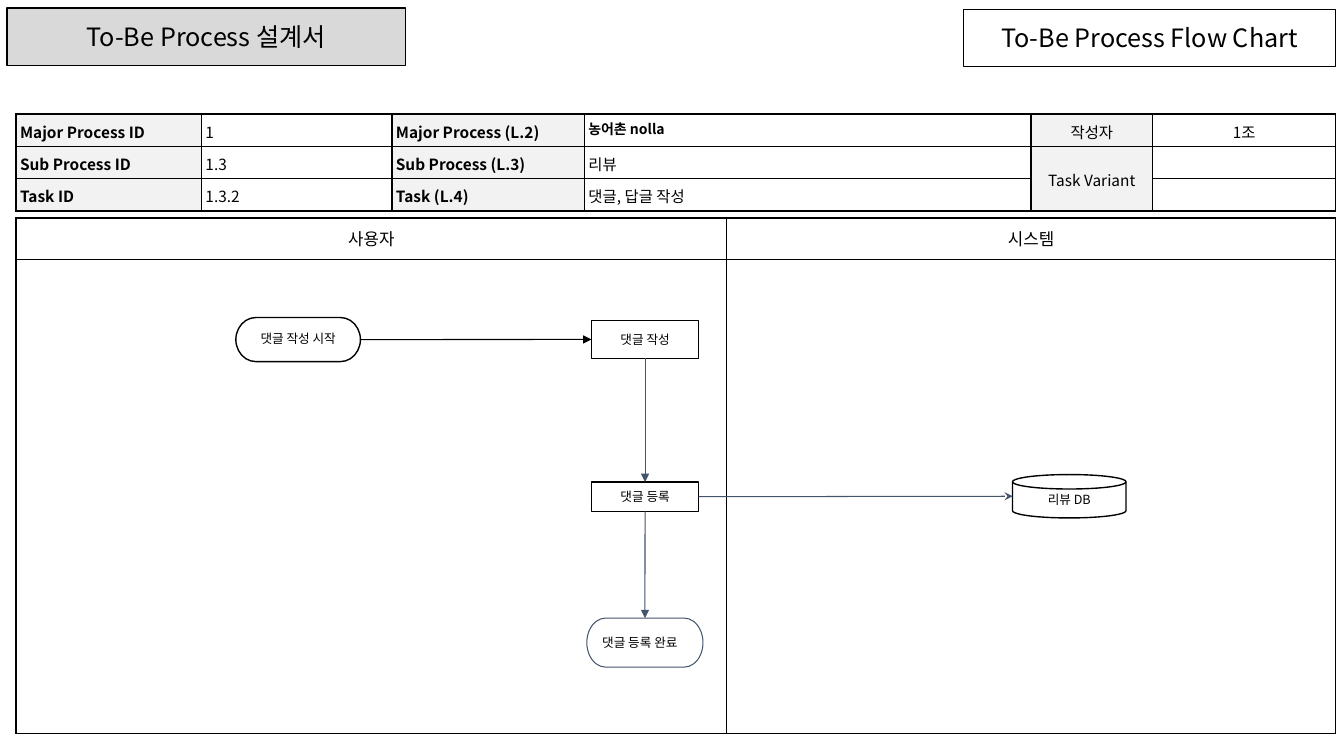
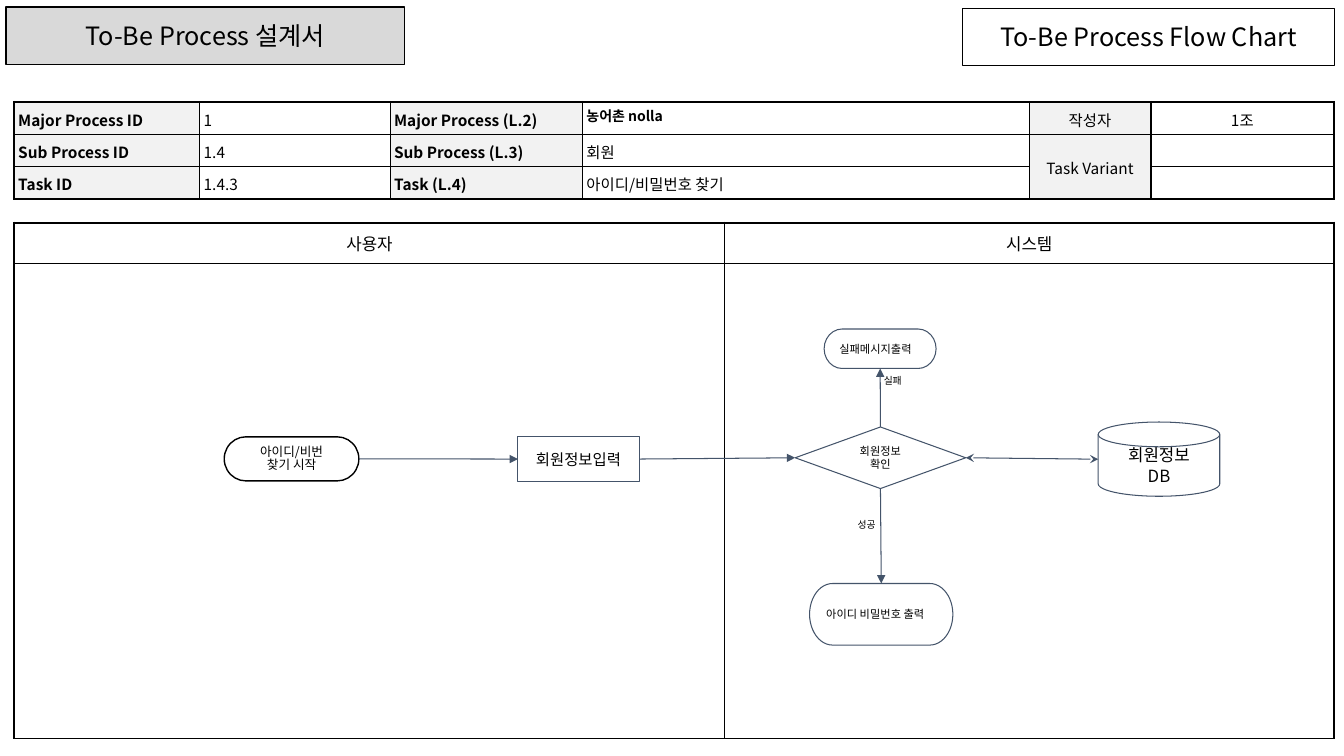
"""Build two To-Be process flow chart slides."""
from lxml.etree import SubElement
from pptx import Presentation
from pptx.dml.color import RGBColor
from pptx.enum.shapes import MSO_CONNECTOR, MSO_SHAPE
from pptx.enum.text import MSO_ANCHOR, MSO_AUTO_SIZE, PP_ALIGN
from pptx.oxml.ns import qn
from pptx.util import Pt


class Theme:
    """Colours, type sizes and line widths."""
    font = "Noto Sans CJK KR"
    ink, blue, white = "000000", "44546A", "FFFFFF"
    band, label = "D9D9D9", "F2F2F2"
    title, lane, info, name, step, note, tag = 18, 12, 11, 10, 9, 8, 7
    edge, rule, thin = 1.5, 1, 0.75
    pens = {"bold": (ink, rule), "fine": (ink, thin), "blue": (blue, thin)}


BOX, PILL = MSO_SHAPE.RECTANGLE, MSO_SHAPE.FLOWCHART_TERMINATOR
DISK, GEM = MSO_SHAPE.FLOWCHART_MAGNETIC_DISK, MSO_SHAPE.FLOWCHART_DECISION
TOP, LEFT, DOWN, RIGHT = range(4)
MID, START = PP_ALIGN.CENTER, PP_ALIGN.LEFT

TITLE, CHART = "To-Be Process 설계서", "To-Be Process Flow Chart"
LANES = [["사용자", "시스템"], ["", ""]]
LABELS = [("Major Process ID", "Major Process (L.2)"),
          ("Sub Process ID", "Sub Process (L.3)"),
          ("Task ID", "Task (L.4)")]
SIDE = [("작성자", "1조"), ("Task Variant", ""), ("", "")]
INFO_COLS, INFO_ROWS = (132.5, 136, 137.5, 319, 87, 130.5), (22.5,) * 3
LANE_COLS, LANE_ROWS = (507.5, 435), (29.5, 339)

LOOKS = {
    "tight": {"size": Theme.step, "inset": (1.4, 0)},
    "dense": {"size": Theme.step, "inset": (1.4, 0), "gap": 0.9},
    "step": {"size": Theme.step},
    "done": {"size": Theme.step, "align": START},
    "form": {"size": Theme.info},
    "store": {"size": Theme.lane},
    "check": {"size": Theme.note},
    "note": {"size": Theme.note, "align": START},
    "tag": {"size": Theme.tag, "align": START, "anchor": MSO_ANCHOR.TOP},
}

SLIDES = [
    {
        "head": (5.1, 5.8), "info": (11.5, 81.5), "lanes": (11.5, 155.5),
        "facts": [("1", "농어촌 nolla"), ("1.3", "리뷰"), ("1.3.2", "댓글, 답글 작성")],
        "nodes": {
            "start": (PILL, (168.5, 226.8, 89, 31.5), "댓글 작성 시작", "bold", "dense"),
            "write": (BOX, (422.5, 229, 76.5, 27), "댓글 작성", "fine", "step"),
            "save": (BOX, (422.5, 344.3, 76.5, 21), "댓글 등록", "bold", "tight"),
            "store": (DISK, (723.3, 339, 81, 31), "리뷰 DB", "bold", "tight"),
            "done": (PILL, (419.2, 441.5, 83, 35), "댓글 등록 완료", "blue", "done"),
        },
        "links": [
            ("start", RIGHT, "write", LEFT, "fine", {"tail": "triangle"}),
            ("write", DOWN, "save", TOP, "blue", {"tail": "triangle"}),
            ("save", DOWN, "done", TOP, "blue", {"tail": "triangle"}),
            ("save", RIGHT, "store", LEFT, "blue", {"tail": "stealth"}),
        ],
        "tags": [],
    },
    {
        "head": (4.4, 5.1), "info": (10.2, 72.8), "lanes": (10.2, 159),
        "facts": [("1", "농어촌 nolla"), ("1.4", "회원"), ("1.4.3", "아이디/비밀번호 찾기")],
        "nodes": {
            "store": (DISK, (784.5, 301.5, 86.8, 53), "회원정보\vDB", "blue", "store"),
            "start": (PILL, (160.2, 312, 96.2, 31.5), "아이디/비번\n찾기 시작", "bold", "dense"),
            "enter": (BOX, (370, 312, 86.5, 31.8), "회원정보입력", "blue", "form"),
            "check": (GEM, (568, 305, 121.8, 44), "회원정보\n확인", "blue", "check"),
            "show": (PILL, (578.3, 416.8, 102.4, 44), "아이디 비밀번호 출력", "blue", "note"),
            "fail": (PILL, (588.7, 235, 80, 28.2), "실패메시지출력", "blue", "note"),
        },
        "links": [
            ("start", RIGHT, "enter", LEFT, "blue", {"tail": "triangle"}),
            ("enter", RIGHT, "check", LEFT, "blue", {"tail": "triangle"}),
            ("check", DOWN, "show", TOP, "blue", {"tail": "triangle"}),
            ("check", TOP, "fail", DOWN, "blue", {"tail": "triangle"}),
            ("check", RIGHT, "store", LEFT, "blue",
             {"head": "stealth", "tail": "stealth"}),
        ],
        "tags": [((605.5, 366.5, 30, 23), "성공"), ((624.2, 263.5, 38, 23), "실패")],
    },
]


def points(vals):
    """Turn numbers into lengths."""
    return [Pt(val) for val in vals]


def assign(item, vals):
    """Set each named attribute of the item."""
    for key, val in vals.items():
        setattr(item, key, val)


def paint(fill, hue):
    """Fill with a plain colour, or with none."""
    if hue:
        fill.solid()
        fill.fore_color.rgb = RGBColor.from_string(hue)
    else:
        fill.background()


def trace(line, pen):
    """Give a line its colour and width."""
    hue, width = Theme.pens[pen]
    paint(line.fill, hue)
    line.width = Pt(width)


def write(host, frame, text, size, bold=False, align=MID, gap=1.0,
          inset=(7.2, 7.2), anchor=MSO_ANCHOR.MIDDLE):
    """Put formatted text into a shape or a cell."""
    wide, high = points(inset)
    assign(host, {"margin_left": wide, "margin_right": wide, "margin_top": high,
                  "margin_bottom": high, "vertical_anchor": anchor})
    frame.word_wrap = True
    frame.text = text
    for para in frame.paragraphs:
        assign(para, {"alignment": align, "line_spacing": gap})
        for run in para.runs:
            run.font.color.rgb = RGBColor.from_string(Theme.ink)
            assign(run.font, {"size": Pt(size), "bold": bold, "name": Theme.font})
            SubElement(run.font._element, qn("a:ea"), typeface=Theme.font)
        if not para.runs:
            SubElement(para._p, qn("a:endParaRPr"), sz=str(size * 100))


def border(cell, widths):
    """Draw the four sides of a cell."""
    props = cell._tc.get_or_add_tcPr()
    for side, width in zip("LRTB", widths):
        line = SubElement(props, qn(f"a:ln{side}"), w=str(Pt(width)))
        fill = SubElement(line, qn("a:solidFill"))
        SubElement(fill, qn("a:srgbClr"), val=Theme.ink)


def grid(slide, place, cols, rows, inner, merge=None):
    """Add a table with a heavy frame and light rules."""
    size = points((*place, sum(cols), sum(rows)))
    table = slide.shapes.add_table(len(rows), len(cols), *size).table
    assign(table, {"first_row": False, "horz_banding": False})
    for col, width in zip(table.columns, cols):
        col.width = Pt(width)
    for row, height in zip(table.rows, rows):
        row.height = Pt(height)
    if merge:
        first, last = merge
        table.cell(*first).merge(table.cell(*last))
    for y in range(len(rows)):
        for x in range(len(cols)):
            cell = table.cell(y, x)
            if cell.is_spanned:
                continue
            span = cell.span_height if cell.is_merge_origin else 1
            outer = (x == 0, x + 1 == len(cols), y == 0, y + span == len(rows))
            border(cell, [Theme.edge if out else inner for out in outer])
    return table


def add_info(slide, place, facts):
    """Add the table that names the process."""
    table = grid(slide, place, INFO_COLS, INFO_ROWS, Theme.rule, ((1, 4), (2, 4)))
    for y, (label, fact, side) in enumerate(zip(LABELS, facts, SIDE)):
        row = (label[0], fact[0], label[1], fact[1], *side)
        for x, text in enumerate(row):
            cell = table.cell(y, x)
            if cell.is_spanned:
                continue
            head, name = x in (0, 2), (y, x) == (0, 3)
            paint(cell.fill, Theme.label if head or x == 4 else None)
            write(cell, cell.text_frame, text, Theme.name if name else Theme.info,
                  bold=head or name, align=MID if x > 3 else START,
                  gap=1.0 if name else 1.1, inset=(2.8, 2.8),
                  anchor=MSO_ANCHOR.MIDDLE if x > 3 else MSO_ANCHOR.TOP)


def add_lanes(slide, place):
    """Add the two lanes of the flow."""
    table = grid(slide, place, LANE_COLS, LANE_ROWS, Theme.thin)
    for y, row in enumerate(LANES):
        for x, text in enumerate(row):
            cell = table.cell(y, x)
            paint(cell.fill, None)
            write(cell, cell.text_frame, text, Theme.lane, inset=(7.2, 3.6))


def add_node(slide, kind, place, text, pen, look, fill=Theme.white):
    """Add one shape with text."""
    node = slide.shapes.add_shape(kind, *points(place))
    node.shadow.inherit = False
    paint(node.fill, fill)
    trace(node.line, pen)
    write(node.text_frame, node.text_frame, text, **look)
    return node


def spot(node, side):
    """Find the middle of a side."""
    across, along = {TOP: (1, 0), LEFT: (0, 1), DOWN: (1, 2), RIGHT: (2, 1)}[side]
    return node.left + node.width * across // 2, node.top + node.height * along // 2


def add_link(slide, nodes, link):
    """Add an arrow between two nodes."""
    first, out, last, into, pen, tips = link
    start, end = nodes[first], nodes[last]
    line = slide.shapes.add_connector(
        MSO_CONNECTOR.STRAIGHT, *spot(start, out), *spot(end, into))
    line.begin_connect(start, out)
    if end.auto_shape_type != DISK:
        line.end_connect(end, into)
    trace(line.line, pen)
    for tip in ("head", "tail"):
        if tip in tips:
            SubElement(line.line._get_or_add_ln(), qn(f"a:{tip}End"), type=tips[tip])
    SubElement(line._element.spPr, qn("a:effectLst"))


def add_head(slide, place):
    """Format the title and add the chart name."""
    x, y = place
    look = {"size": Theme.title, "inset": (7.2, 3.6)}
    title = slide.shapes.title
    left, top, width, height = points((x, y, 284.5, 41))
    assign(title, {"left": left, "top": top, "width": width, "height": height})
    paint(title.fill, Theme.band)
    trace(title.line, "bold")
    write(title.text_frame, title.text_frame, TITLE, **look)
    title.text_frame.auto_size = MSO_AUTO_SIZE.NONE
    add_node(slide, BOX, (x + 683.2, y + 0.8, 265.7, 41), CHART, "bold", look, None)


def add_slide(deck, data):
    """Build one slide from its data."""
    slide = deck.slides.add_slide(deck.slide_layouts[5])
    add_head(slide, data["head"])
    add_lanes(slide, data["lanes"])
    add_info(slide, data["info"], data["facts"])
    nodes = {name: add_node(slide, *node, LOOKS[look])
             for name, (*node, look) in data["nodes"].items()}
    for link in data["links"]:
        add_link(slide, nodes, link)
    for place, text in data["tags"]:
        frame = slide.shapes.add_textbox(*points(place)).text_frame
        write(frame, frame, text, **LOOKS["tag"])


def main():
    """Build and save the deck."""
    deck = Presentation()
    assign(deck, {"slide_width": Pt(960), "slide_height": Pt(540)})
    for data in SLIDES:
        add_slide(deck, data)
    deck.save("out.pptx")


if __name__ == "__main__":
    main()
